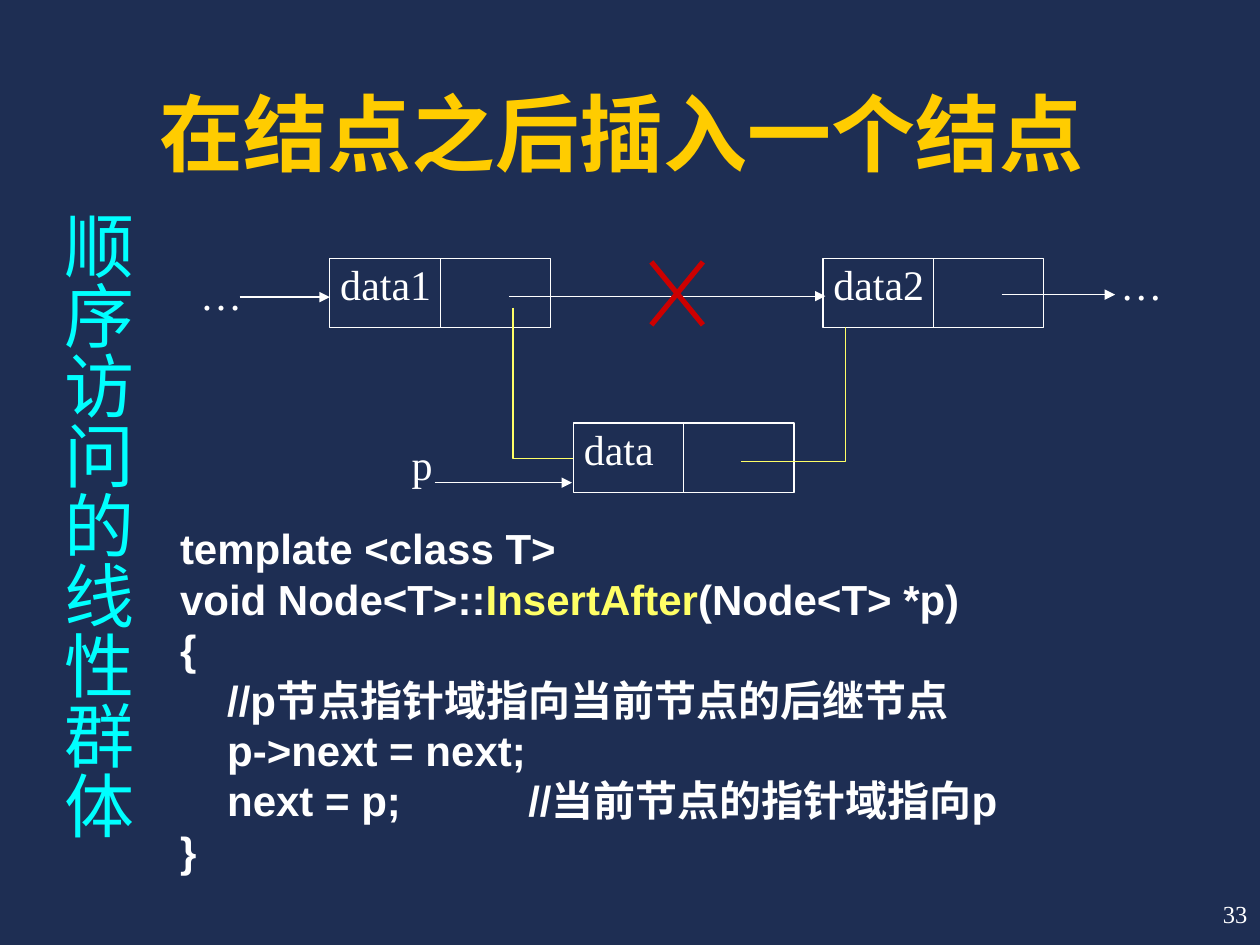
from dataclasses import dataclass

from lxml import etree
from pptx import Presentation
from pptx.dml.color import RGBColor
from pptx.enum.shapes import MSO_CONNECTOR, MSO_SHAPE
from pptx.enum.text import MSO_ANCHOR, MSO_AUTO_SIZE, PP_ALIGN
from pptx.oxml.ns import qn
from pptx.util import Cm, Pt

LINE, RECT = MSO_CONNECTOR.STRAIGHT, MSO_SHAPE.RECTANGLE
TOP, MID, LOW = MSO_ANCHOR.TOP, MSO_ANCHOR.MIDDLE, MSO_ANCHOR.BOTTOM
LEFT, MIDST, RIGHT = PP_ALIGN.LEFT, PP_ALIGN.CENTER, PP_ALIGN.RIGHT
FIXED = MSO_AUTO_SIZE.NONE

NAVY = RGBColor(0x1E, 0x2E, 0x53)
WHITE = RGBColor(0xFF, 0xFF, 0xFF)
GOLD = RGBColor(0xFF, 0xCC, 0x00)
LEMON = RGBColor(0xFF, 0xFF, 0x66)
RED = RGBColor(0xCC, 0x00, 0x00)
CYAN = RGBColor(0x00, 0xFF, 0xFF)

SERIF, SANS, HAN = "Times New Roman", "Arial", "Noto Sans CJK SC"
NODE_W, NODE_H = 4.45, 1.4


@dataclass
class Style:
    font: str = SERIF
    size: float = 24
    color: RGBColor = WHITE
    bold: bool = False


@dataclass
class Node:
    label: str
    x: float
    y: float


@dataclass
class Arrow:
    x: float
    y: float
    end: float


@dataclass
class Label:
    text: str
    x: float
    y: float
    w: float
    h: float
    align: PP_ALIGN


NODES = [Node("data1", 6.65, 5.21), Node("data2", 16.59, 5.21),
         Node("data", 11.56, 8.53)]
ARROWS = [Arrow(4.83, 5.99, 6.65), Arrow(10.26, 5.97, 16.64),
          Arrow(20.19, 5.94, 22.48), Arrow(8.76, 9.73, 11.53)]
LABELS = [Label("…", 3.61, 5.41, 1.7, 1.09, MIDST),
          Label("…", 21.79, 5.21, 2.44, 1.27, MIDST),
          Label("p", 8.3, 8.84, 2.3, 1.12, LEFT)]
LINKS = [[(14.94, 9.3), (17.04, 9.3), (17.04, 6.6)],
         [(10.34, 6.2), (10.34, 9.25), (11.56, 9.25)]]
CODE = [
    [("template <class T>", WHITE)],
    [("void Node<T>::", WHITE), ("InsertAfter", LEMON),
     ("(Node<T> *p)", WHITE)],
    [("{", WHITE)],
    [("\t//p节点指针域指向当前节点的后继节点", WHITE)],
    [("\tp->next = next;", WHITE)],
    [("\tnext = p;\t//当前节点的指针域指向p", WHITE)],
    [("}", WHITE)],
]
STOPS = (0.95, 7.02)


def add_run(para, text: str, style: Style) -> None:
    run = para.add_run()
    run.text = text
    font = run.font
    font.name, font.size, font.bold = style.font, Pt(style.size), style.bold
    font.color.rgb = style.color
    east = etree.SubElement(run._r.get_or_add_rPr(), qn("a:ea"))
    east.set("typeface", style.font)


def set_frame(shape, anchor=TOP, side: float = 0, edge: float = 0):
    frame = shape.text_frame
    frame.word_wrap, frame.auto_size = True, FIXED
    frame.vertical_anchor = anchor
    frame.margin_left = frame.margin_right = Cm(side)
    frame.margin_top = frame.margin_bottom = Cm(edge)
    return frame


def add_box(slide, x: float, y: float, w: float, h: float):
    return slide.shapes.add_textbox(Cm(x), Cm(y), Cm(w), Cm(h))


def add_line(slide, x: float, y: float, x2: float, y2: float,
             color: RGBColor = WHITE, width: float = 0.75,
             head: bool = False) -> None:
    line = slide.shapes.add_connector(LINE, Cm(x), Cm(y), Cm(x2), Cm(y2))
    line.line.color.rgb, line.line.width = color, Pt(width)
    if head:
        tail = etree.SubElement(line.line._get_or_add_ln(), qn("a:tailEnd"))
        tail.set("type", "triangle")
    etree.SubElement(line._element.spPr, qn("a:effectLst"))


def set_edge(shape, color: RGBColor) -> None:
    shape.shadow.inherit = False
    shape.fill.background()
    shape.line.color.rgb, shape.line.width = color, Pt(0.75)


def add_node(slide, node: Node) -> None:
    rect = slide.shapes.add_shape(
        RECT, Cm(node.x), Cm(node.y), Cm(NODE_W), Cm(NODE_H))
    set_edge(rect, WHITE)
    para = set_frame(rect, side=0.21).paragraphs[0]
    para.alignment = LEFT
    add_run(para, node.label, Style())
    mid = node.x + NODE_W / 2
    add_line(slide, mid, node.y, mid, node.y + NODE_H)


def add_link(slide, spots: list) -> None:
    pts = [(Cm(x), Cm(y)) for x, y in spots]
    form = slide.shapes.build_freeform(*pts[0])
    form.add_line_segments(pts[1:], close=False)
    set_edge(form.convert_to_shape(), LEMON)


def add_label(slide, label: Label) -> None:
    box = add_box(slide, label.x, label.y, label.w, label.h)
    para = set_frame(box).paragraphs[0]
    para.alignment = label.align
    add_run(para, label.text, Style())


def add_code(slide) -> None:
    frame = set_frame(add_box(slide, 3.38, 10.41, 20.75, 7.37),
                      side=0.25, edge=0.13)
    for i, parts in enumerate(CODE):
        para = frame.paragraphs[0] if i == 0 else frame.add_paragraph()
        para.line_spacing = Pt(28.8)
        tabs = etree.SubElement(para._p.get_or_add_pPr(), qn("a:tabLst"))
        for stop in STOPS:
            tab = etree.SubElement(tabs, qn("a:tab"))
            tab.set("pos", str(int(Cm(stop))))
            tab.set("algn", "l")
        for text, color in parts:
            add_run(para, text, Style(SANS, 24, color, True))


def main() -> None:
    deck = Presentation()
    deck.slide_width, deck.slide_height = Cm(25.4), Cm(19.05)
    slide = deck.slides.add_slide(deck.slide_layouts[5])
    slide.background.fill.solid()
    slide.background.fill.fore_color.rgb = NAVY

    # Title
    title = slide.shapes.title
    title.left, title.top = Cm(2.97), Cm(0.63)
    title.width, title.height = Cm(21.16), Cm(3.18)
    para = set_frame(title, LOW, 0.25, 0.13).paragraphs[0]
    para.alignment = LEFT
    add_run(para, "在结点之后插入一个结点", Style(SANS, 48, GOLD, True))

    # Linked list
    for node in NODES:
        add_node(slide, node)
    for link in LINKS:
        add_link(slide, link)
    for arrow in ARROWS:
        add_line(slide, arrow.x, arrow.y, arrow.end, arrow.y, head=True)
    for label in LABELS:
        add_label(slide, label)

    # Cross over the old link
    for top, low in ((5.28, 6.55), (6.55, 5.28)):
        add_line(slide, 13.13, top, 14.17, low, RED, 3)

    # Code
    add_code(slide)

    # Chapter name, set upright
    frame = set_frame(add_box(slide, 0.76, 4.01, 2.18, 13.31),
                      side=0.13, edge=0.25)
    frame._txBody.bodyPr.set("vert", "eaVert")
    para = frame.paragraphs[0]
    para.space_before = Pt(25)
    add_run(para, "顺序访问的线性群体", Style(HAN, 40, CYAN))

    # Page number
    box = add_box(slide, 20.12, 17.78, 5.28, 1.27)
    para = set_frame(box, MID, 0.25, 0.13).paragraphs[0]
    para.alignment = RIGHT
    add_run(para, "33", Style(size=14))

    deck.save("out.pptx")


if __name__ == "__main__":
    main()
